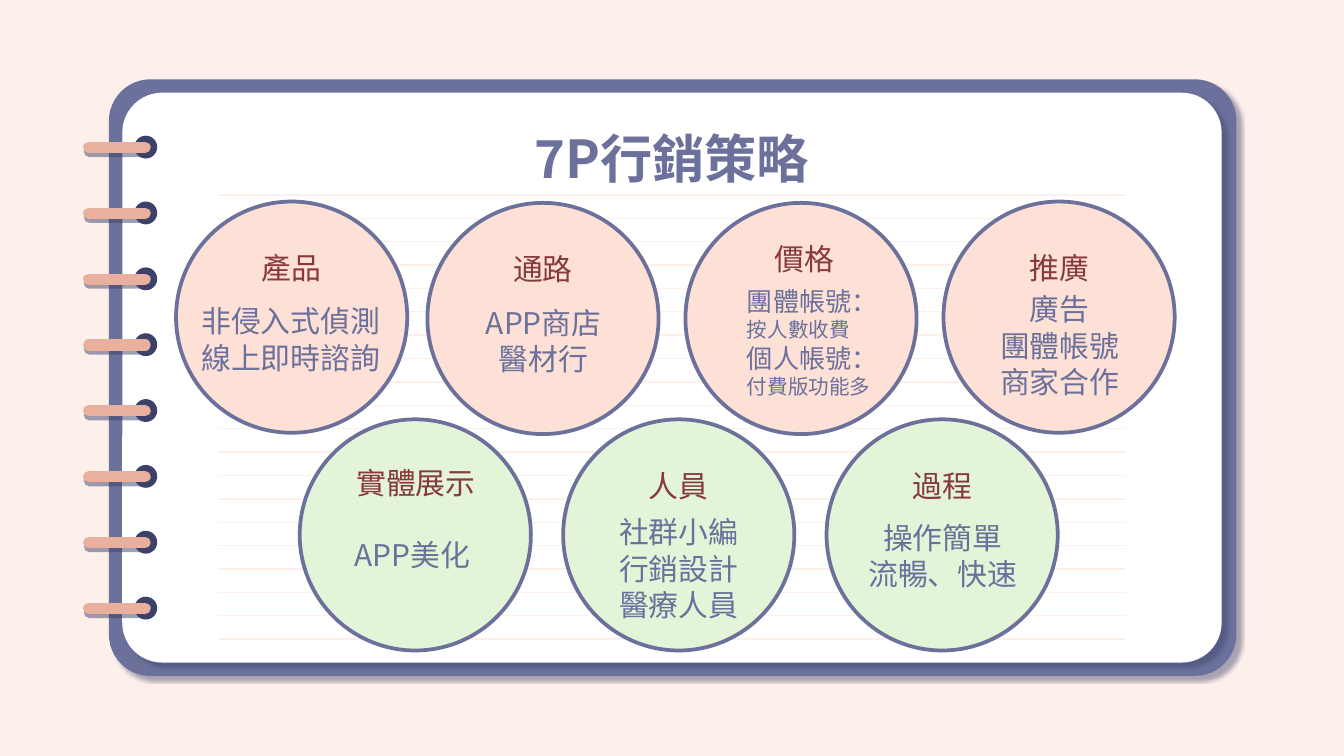
from lxml.etree import SubElement
from pptx import Presentation
from pptx.dml.color import RGBColor
from pptx.enum.shapes import MSO_CONNECTOR, MSO_SHAPE
from pptx.enum.text import MSO_ANCHOR, MSO_AUTO_SIZE, PP_ALIGN
from pptx.oxml.ns import qn
from pptx.util import Inches, Pt

COLORS = {
    "page": "FDEFEA", "paper": "FFFFFF", "cover": "6B719B", "hole": "3C4169",
    "ring": "E9B09D", "peach": "FDE0D6", "mint": "E3F4D8", "label": "863A3A",
}
FONT = "Noto Sans CJK SC"
COLS, ROWS = 100, 56.25
DIAMETER = 17.2
LEADING = 1.22
CENTER, LEFT = PP_ALIGN.CENTER, PP_ALIGN.LEFT


class Board:
    """Holds the style and current slide; lengths are cells of a 100-column grid."""

    def __init__(self, prs):
        self.cell = prs.slide_width / COLS
        self.s = prs.slides.add_slide(prs.slide_layouts[5])
        self.s.background.fill.solid()
        self.s.background.fill.fore_color.rgb = self.color("page")

    def color(self, name):
        return RGBColor.from_string(COLORS[name])

    def grid(self, *cells):
        return [round(c * self.cell) for c in cells]

    def effects(self, sp, shadow=None):
        spPr = sp._element.spPr
        lst = spPr.find(qn("a:effectLst"))
        if lst is None:
            lst = SubElement(spPr, qn("a:effectLst"))
        if shadow:
            opacity, blur, dist, angle = shadow
            outer = SubElement(lst, qn("a:outerShdw"), blurRad=str(Pt(blur)), dist=str(Pt(dist)),
                               dir=str(angle * 60000), algn="bl", rotWithShape="0")
            clr = SubElement(outer, qn("a:srgbClr"), val=COLORS["hole"])
            SubElement(clr, qn("a:alpha"), val=str(opacity * 1000))

    def shape(self, kind, at, fill, line=None, shadow=None):
        sp = self.s.shapes.add_shape(kind, *self.grid(*at))
        sp.shadow.inherit = False
        sp.fill.solid()
        sp.fill.fore_color.rgb = self.color(fill)
        if line:
            sp.line.color.rgb = self.color(line)
            sp.line.width = Pt(2)
        else:
            sp.line.fill.background()
        self.effects(sp, shadow)
        return sp

    def panel(self, at, fill, corner):
        sp = self.shape(MSO_SHAPE.ROUNDED_RECTANGLE, at, fill, shadow=(44, 1.1, 4.5, 44))
        sp.adjustments[0] = corner

    def rule(self, x1, x2, y, color, width, shadow=None, cap="flat"):
        c = self.s.shapes.add_connector(MSO_CONNECTOR.STRAIGHT, *self.grid(x1, y, x2, y))
        c.line.color.rgb = self.color(color)
        c.line.width = Pt(width)
        c._element.spPr.find(qn("a:ln")).set("cap", cap)
        self.effects(c, shadow)

    def set_lines(self, tf, lines, color, sizes=(16,), align=CENTER, leading=LEADING, bold=False):
        tf.word_wrap = True
        for i, line in enumerate(lines):
            p = tf.add_paragraph() if i else tf.paragraphs[0]
            p.text = line
            p.alignment = align
            size = sizes[i % len(sizes)]
            if leading:
                p.line_spacing = Pt(size * leading)
            p.font.size = Pt(size)
            p.font.bold = bold
            p.font.color.rgb = self.color(color)
            p.font.name = FONT
            SubElement(p._p.pPr.find(qn("a:defRPr")), qn("a:ea"), typeface=FONT)

    def title(self, text, at):
        sp = self.s.shapes.title
        sp._element.getparent().append(sp._element)
        sp.left, sp.top, sp.width, sp.height = self.grid(*at)
        tf = sp.text_frame
        tf.auto_size = MSO_AUTO_SIZE.NONE
        tf.vertical_anchor = MSO_ANCHOR.MIDDLE
        tf.margin_top = tf.margin_bottom = Inches(0.1)
        self.set_lines(tf, [text], "cover", (28,), leading=None, bold=True)

    def circle(self, x, y, fill, label=None):
        sp = self.shape(MSO_SHAPE.OVAL, (x, y, DIAMETER, DIAMETER), fill, "cover")
        if label:
            tf = sp.text_frame
            tf.vertical_anchor = MSO_ANCHOR.TOP
            tf.margin_top = Inches(0.1)
            self.set_lines(tf, [label], "label")

    def text(self, at, lines, color="cover", **style):
        sp = self.s.shapes.add_textbox(*self.grid(*at))
        self.set_lines(sp.text_frame, lines, color, **style)


def notebook(b):
    """Draws the cover, the ruled page and the ring binding."""
    b.panel((8.1, 5.9, 83.9, 44.4), "cover", 0.07)
    b.panel((9.1, 6.9, 81.8, 42.4), "paper", 0.07)
    for i in range(20):
        b.rule(16.2, 83.8, 14.5 + 1.74 * i, "page", 0.75)
    for i in range(8):
        y = 10.97 + 4.9 * i
        b.shape(MSO_SHAPE.OVAL, (10, y - 0.87, 1.7, 1.7), "hole")
        b.rule(6.6, 10.8, y, "ring", 6, shadow=(50, 0, 2.2, 80), cap="rnd")


def strategies(b):
    """Draws the seven circles with their labels and details."""
    for x, y, fill, label in [
        (13.1, 15, "peach", "產品"), (31.8, 15.1, "peach", "通路"),
        (51, 15.1, "peach", None), (70.2, 15, "peach", "推廣"),
        (22.3, 31.2, "mint", None), (41.9, 31.2, "mint", "人員"), (61.5, 31.2, "mint", "過程"),
    ]:
        b.circle(x, y, fill, label)
    b.text((56.4, 17.4, 6.9, 3.7), ["價格"], "label")
    b.text((25.1, 34, 11.7, 3.7), ["實體展示"], "label")
    b.text((14, 22, 15.4, 6.4), ["非侵入式偵測", "線上即時諮詢"], align=LEFT)
    b.text((33.7, 22.1, 13.5, 6.4), ["APP商店", "醫材行"])
    b.text((54.6, 20.7, 13.7, 9.4), ["團體帳號：", "按人數收費", "個人帳號：", "付費版功能多"],
           sizes=(14, 11), align=LEFT)
    b.text((72.1, 21.1, 13.5, 9.1), ["廣告", "團體帳號", "商家合作"])
    b.text((25.4, 39.4, 11, 6.4), ["APP美化"], align=LEFT)
    b.text((45, 37.7, 11, 9.1), ["社群小編", "行銷設計", "醫療人員"])
    b.text((63.3, 38.1, 13.7, 6.4), ["操作簡單", "流暢、快速"])


def main():
    """Builds and saves the slide."""
    prs = Presentation()
    prs.slide_width = Inches(10)
    prs.slide_height = round(prs.slide_width * ROWS / COLS)
    b = Board(prs)
    notebook(b)
    b.title("7P行銷策略", (17.7, 9.4, 64.6, 4.6))
    strategies(b)
    prs.save("out.pptx")


if __name__ == "__main__":
    main()
